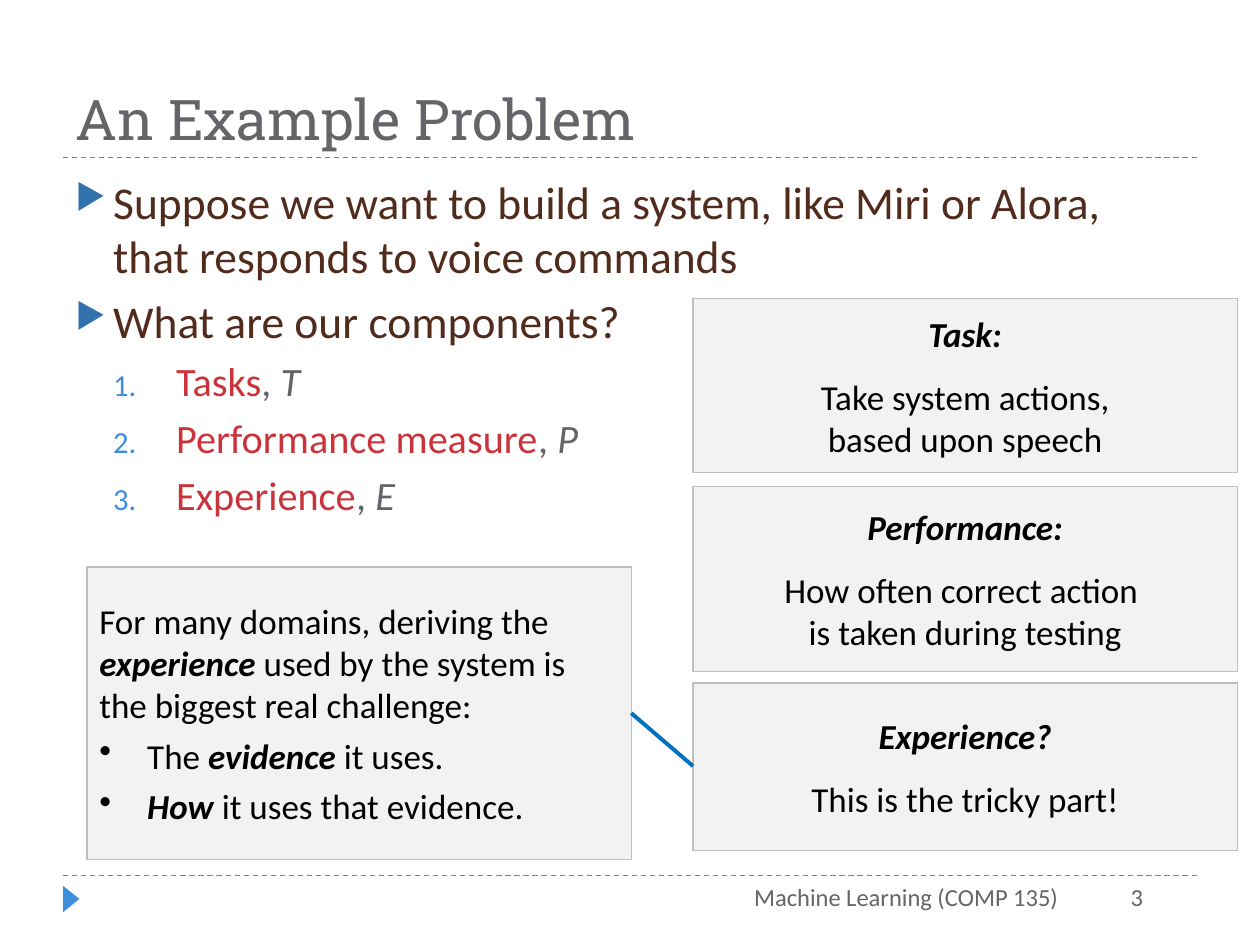
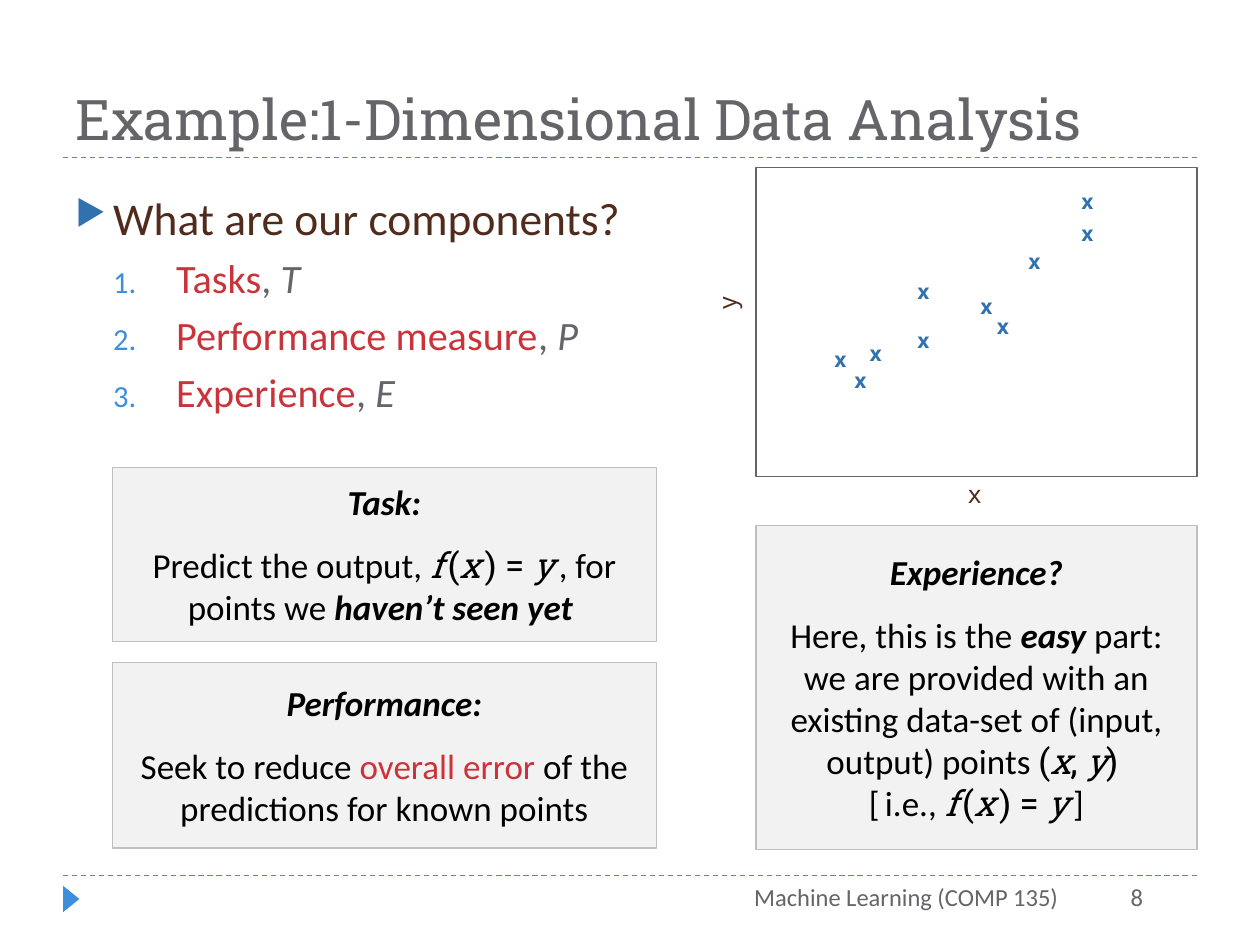
from dataclasses import dataclass

from lxml import etree
from pptx import Presentation, util as u
from pptx.dml.color import RGBColor
from pptx.enum import dml, shapes, text
from pptx.oxml.ns import qn

MID = text.PP_ALIGN.CENTER
LEFT = text.PP_ALIGN.LEFT
RIGHT = text.PP_ALIGN.RIGHT


class Theme:
    """Sizes, fonts and colours that the slides share."""
    wide, high = u.Inches(10), u.Inches(7.5)
    cols, rows = 10, 7.5
    sans, slab, mono = "Calibri", "Roboto Slab", "Noto Sans Mono"
    grey, brown, red, black = "646469", "512C1D", "CB333B", "000000"
    sky, blue, link = "3E8EDE", "3071AE", "0070C0"
    panel, edge = "F2F2F2", "BFBFBF"
    thin, thick = 0.75, 2.25


@dataclass
class Kind:
    """Look of one kind of paragraph."""
    size: float
    color: str
    font: str = Theme.sans
    align: int = LEFT
    before: float = 0
    after: float = 0
    left: float = 0
    hang: float = 0
    level: int = 0
    mark: str = ""
    tint: str = ""
    bold: bool = False
    slant: bool = False


TITLE = Kind(32, Theme.grey, Theme.slab)
POINT = Kind(26, Theme.brown, before=6, left=0.3, hang=0.3, mark="▶", tint=Theme.blue)
ITEM = Kind(23, Theme.grey, before=5, left=0.8, hang=0.5, level=1, mark="1.", tint=Theme.sky)
FOOT = Kind(14, Theme.grey, align=RIGHT)
HEAD = Kind(20, Theme.black, align=MID, after=12, bold=True, slant=True)
LINE = Kind(20, Theme.black, align=MID)
NOTE = Kind(20, Theme.black)
DOT = Kind(20, Theme.black, before=5, left=0.38, hang=0.38, mark="•")
CROSS = Kind(12, Theme.blue, Theme.mono, MID, bold=True)
AXIS = Kind(14, Theme.brown, Theme.mono, MID)

FORM = [("f", "var gap"), ("(", "math"), ("x", "var gap"), (") = ", "math"), ("y", "var gap")]
PARTS = [(POINT, "What are our components?")] + [
    (ITEM, [(name, "red"), (", ", ""), (sign, "slant")])
    for name, sign in [("Tasks", "T"), ("Performance measure", "P"), ("Experience", "E")]
]
MARKS = [(0.42, 1.37), (0.58, 1.54), (0.7, 1.32), (1.08, 1.22), (1.08, 0.83),
         (1.58, 0.95), (1.71, 1.11), (1.96, 0.59), (2.38, 0.37), (2.38, 0.12)]


def grid(*cells):
    """Turn column and row counts, in turn, into lengths."""
    unit = Theme.wide / Theme.cols, Theme.high / Theme.rows
    return [round(cell * unit[i % 2]) for i, cell in enumerate(cells)]


def rgb(code):
    """Return the colour for a hex code."""
    return RGBColor.from_string(code)


def bullet(para, kind):
    """Give a paragraph its indent and its bullet or number."""
    props = para._p.get_or_add_pPr()
    left, hang = grid(kind.left, 0, kind.hang)[::2]
    props.set("marL", str(left))
    props.set("indent", str(-hang))
    if kind.tint:
        color = etree.SubElement(props, qn("a:buClr"))
        etree.SubElement(color, qn("a:srgbClr"), val=kind.tint)
        etree.SubElement(props, qn("a:buSzPct"), val="76000")
    if kind.mark == "1.":
        etree.SubElement(props, qn("a:buAutoNum"), type="arabicPeriod")
    else:
        etree.SubElement(props, qn("a:buChar"), char=kind.mark)


def style(run, tags):
    """Apply the named differences to one run."""
    font = run.font
    if "strong" in tags:
        font.bold = font.italic = True
    if "slant" in tags or "var" in tags:
        font.italic = True
    if "math" in tags or "var" in tags:
        font.name = Theme.slab
    if "red" in tags:
        font.color.rgb = rgb(Theme.red)
    if "gap" in tags:
        run._r.get_or_add_rPr().set("spc", "300")


def write(frame, paras):
    """Fill a text frame with (kind, words or runs) pairs."""
    for i, (kind, runs) in enumerate(paras):
        para = frame.add_paragraph() if i else frame.paragraphs[0]
        para.alignment, para.level = kind.align, kind.level
        para.space_before, para.space_after = u.Pt(kind.before), u.Pt(kind.after)
        if kind.mark:
            bullet(para, kind)
        font = para.font
        font.size, font.name = u.Pt(kind.size), kind.font
        font.bold, font.italic = kind.bold, kind.slant
        font.color.rgb = rgb(kind.color)
        for words, tags in [(runs, "")] if isinstance(runs, str) else runs:
            run = para.add_run()
            run.text = words
            style(run, tags.split())


def label(tree, spot, paras, anchor=text.MSO_ANCHOR.TOP, wrap=True, turn=0):
    """Add a text box."""
    box = tree.add_textbox(*grid(*spot))
    box.rotation = turn
    frame = box.text_frame
    frame.word_wrap, frame.vertical_anchor = wrap, anchor
    write(frame, paras)


def block(tree, spot, fill=None, edge=None, form=shapes.MSO_SHAPE.RECTANGLE):
    """Add a plain shape with optional fill and edge."""
    shape = tree.add_shape(form, *grid(*spot))
    shape.shadow.inherit = False
    if fill:
        shape.fill.solid()
        shape.fill.fore_color.rgb = rgb(fill)
    else:
        shape.fill.background()
    if edge:
        shape.line.color.rgb = rgb(edge)
        shape.line.width = u.Pt(Theme.thin)
    else:
        shape.line.fill.background()
    return shape


def card(tree, spot, paras):
    """Add a pale panel holding text."""
    frame = block(tree, spot, Theme.panel, Theme.edge).text_frame
    frame.word_wrap, frame.vertical_anchor = True, text.MSO_ANCHOR.MIDDLE
    write(frame, paras)


def rule(tree, ends, color, width, dash=None):
    """Add a straight line."""
    line = tree.add_connector(shapes.MSO_CONNECTOR.STRAIGHT, *grid(*ends))
    line.line.color.rgb = rgb(color)
    line.line.width = u.Pt(width)
    if dash:
        line.line.dash_style = dash
    etree.SubElement(line._element.spPr, qn("a:effectLst"))


def base(deck, title, page):
    """Add a slide with title, rules and footer, and return its shapes."""
    tree = deck.slides.add_slide(deck.slide_layouts[6]).shapes
    for y in (6.95, 1.25):
        rule(tree, (0.5, y, 9.5, y), Theme.sky, Theme.thin, dml.MSO_LINE.DASH)
    arrow = block(tree, (0.46, 7.07, 0.21, 0.13), Theme.sky,
                  form=shapes.MSO_SHAPE.ISOSCELES_TRIANGLE)
    arrow.rotation = 90
    label(tree, (0.5, 0.17, 9, 1.08), [(TITLE, title)], text.MSO_ANCHOR.BOTTOM)
    label(tree, (3.83, 6.95, 4.67, 0.4), [(FOOT, "Machine Learning (COMP 135)")])
    label(tree, (8.08, 6.95, 1.09, 0.4), [(FOOT, str(page))])
    return tree


def plot(tree, x, y):
    """Add the scatter of crosses with its frame and axis names."""
    group = tree.add_group_shape().shapes
    block(group, (x, y, 3.5, 2.45), edge=Theme.grey)
    for dx, dy in MARKS:
        label(group, (x + dx, y + dy, 0.5, 0.3), [(CROSS, "x")])
    label(group, (x - 0.35, y + 0.94, 0.24, 0.34), [(AXIS, "y")], wrap=False, turn=270)
    label(group, (x + 1.58, y + 2.42, 0.24, 0.34), [(AXIS, "x")], wrap=False)


def voice(deck):
    """Build the slide on the voice command problem."""
    tree = base(deck, "An Example Problem", 3)
    goal = "Suppose we want to build a system, like Miri or Alora, that responds to voice commands"
    label(tree, (0.5, 1.33, 9, 5.4), [(POINT, goal)] + PARTS)
    cards = [
        (2.37, 1.38, "Task:", ["Take system actions,", "based upon speech"]),
        (3.86, 1.47, "Performance:", ["How often correct action ", "is taken during testing"]),
        (5.42, 1.33, "Experience?", ["This is the tricky part!"]),
    ]
    for y, high, head, lines in cards:
        card(tree, (5.5, y, 4.32, high), [(HEAD, head)] + [(LINE, line) for line in lines])
    card(tree, (0.69, 4.5, 4.32, 2.32), [
        (NOTE, [("For many domains, deriving the ", ""), ("experience", "strong"),
                (" used by the system is the biggest real challenge:", "")]),
        (DOT, [("The ", ""), ("evidence ", "strong"), ("it uses.", "")]),
        (DOT, [("How ", "strong"), ("it uses that evidence.", "")]),
    ])
    rule(tree, (5.5, 6.08, 5.01, 5.66), Theme.link, Theme.thick)


def data(deck):
    """Build the slide on one-dimensional data."""
    tree = base(deck, "Example:1-Dimensional Data Analysis", 8)
    label(tree, (0.5, 1.46, 9, 5.27), PARTS)
    card(tree, (0.89, 3.71, 4.32, 1.38), [
        (HEAD, "Task:"),
        (LINE, [("Predict the output, ", ""), *FORM, (", for points we ", ""),
                ("haven’t seen yet ", "strong")]),
    ])
    card(tree, (0.89, 5.26, 4.32, 1.47), [
        (HEAD, "Performance:"),
        (LINE, [("Seek to reduce ", ""), ("overall error ", "red"),
                ("of the predictions for known points", "")]),
    ])
    card(tree, (6, 4.17, 3.5, 2.57), [
        (HEAD, "Experience?"),
        (LINE, [("Here, this is the ", ""), ("easy", "strong"),
                (" part: we are provided with an existing data-set of (input, output) points ", ""),
                ("(", "math"), ("x", "var"), (", ", "math"), ("y", "var"), (") ", "math")]),
        (LINE, [("[", "gap"), ("i.e., ", ""), *FORM, ("]", "")]),
    ])
    plot(tree, 6, 1.33)


def main():
    """Build both slides and save them."""
    deck = Presentation()
    deck.slide_width, deck.slide_height = Theme.wide, Theme.high
    voice(deck)
    data(deck)
    deck.save("out.pptx")


if __name__ == "__main__":
    main()
